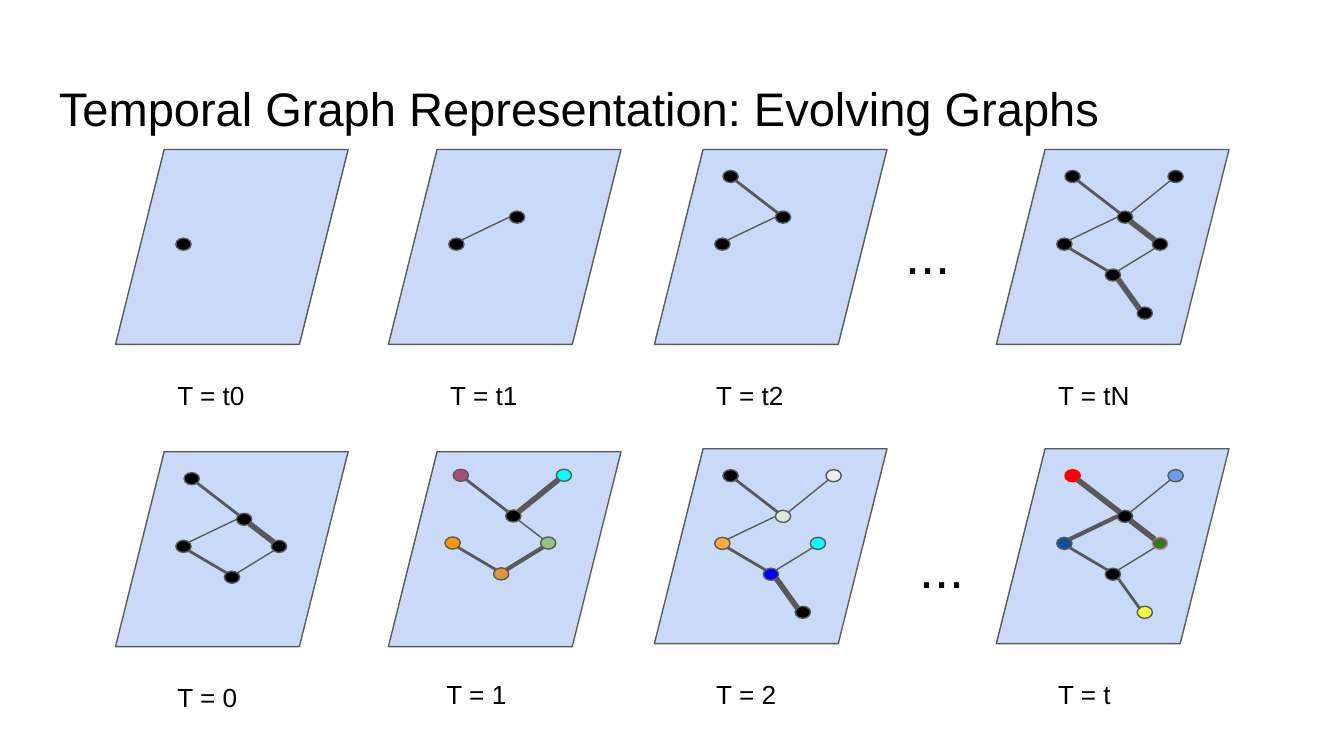
import math
from dataclasses import dataclass

import pptx
import pptx.dml.color
import pptx.enum.shapes
import pptx.oxml
import pptx.oxml.ns
import pptx.util

Pt = pptx.util.Pt
SHAPE = pptx.enum.shapes.MSO_SHAPE


@dataclass(frozen=True)
class Theme:
    font: str = "Arial"
    text: str = "000000"
    pane: str = "C9DAF8"
    line: str = "595959"
    node: str = "000000"
    title_size: float = 25.2
    dots_size: float = 29
    label_size: float = 14
    hairline: float = 0.75


# Layout in points; node positions are top-left corners within a pane
PANE_W, PANE_H = 124.6, 104.4
NODE_W, NODE_H = 8.2, 6.5
LABEL_X, LABEL_Y = 26, 115.8
COLUMNS = (61.9, 208.1, 350.6, 533.8)
NODES = {
    "A": (36.7, 11.2), "B": (91.9, 11.2), "C": (32.3, 47.5), "D": (64.8, 33),
    "E": (58.3, 64), "F": (83.5, 47.5), "G": (75.4, 84.4),
}


def rgb(value):
    return pptx.dml.color.RGBColor.from_string(value)


class Deck:
    def __init__(self, theme):
        self.theme = theme
        self.prs = pptx.Presentation()
        self.prs.slide_width, self.prs.slide_height = Pt(720), Pt(405)
        self.s = self.prs.slides.add_slide(self.prs.slide_layouts[6])

    def text(self, x, y, w, h, text, size):
        tf = self.s.shapes.add_textbox(Pt(x), Pt(y), Pt(w), Pt(h)).text_frame
        tf.word_wrap = True
        tf.margin_left = tf.margin_right = Pt(7.2)
        tf.margin_top = tf.margin_bottom = Pt(7.2)
        p = tf.paragraphs[0]
        p.text = text
        p.font.name = self.theme.font
        p.font.size = Pt(size)
        p.font.color.rgb = rgb(self.theme.text)

    def shape(self, kind, x, y, w, h, fill, line=None):
        sp = self.s.shapes.add_shape(kind, Pt(x), Pt(y), Pt(w), Pt(h))
        sp.shadow.inherit = False
        sp.fill.solid()
        sp.fill.fore_color.rgb = rgb(fill)
        sp.line.color.rgb = rgb(line or self.theme.line)
        sp.line.width = Pt(self.theme.hairline)
        return sp

    def edge(self, start, end, width):
        points = [Pt(v) for v in (*start, *end)]
        cx = self.s.shapes.add_connector(
            pptx.enum.shapes.MSO_CONNECTOR.STRAIGHT, *points)
        cx.line.color.rgb = rgb(self.theme.line)
        cx.line.width = Pt(width)
        pptx.oxml.ns.qn("a:effectLst")
        cx._element.spPr.append(
            pptx.oxml.parse_xml(
                f'<a:effectLst {pptx.oxml.ns.nsdecls("a")}/>'))

    def graph(self, x, y, label, nodes, edges, shift=(0, 0), outlines=None):
        """Draw a pane with its nodes, weighted edges and time label."""
        pane = self.shape(SHAPE.PARALLELOGRAM, x, y, PANE_W, PANE_H,
                          self.theme.pane)
        pane.adjustments[0] = 0.25
        x, y = x + shift[0], y + shift[1]

        for name, fill in nodes.items():
            nx, ny = NODES[name]
            self.shape(SHAPE.OVAL, x + nx, y + ny, NODE_W, NODE_H, fill,
                       (outlines or {}).get(name))
        for pair, width in edges.items():
            a, b = pair
            start, end = anchor(a, b), anchor(b, a)
            self.edge((x + start[0], y + start[1]),
                      (x + end[0], y + end[1]), width)
        self.text(x + LABEL_X, y + LABEL_Y, 65.5, 31.7, label,
                  self.theme.label_size)


def anchor(name, other):
    """Point on the rim of a node, on the diagonal that faces the other."""
    (x, y), (ox, oy) = NODES[name], NODES[other]
    cx, cy = x + NODE_W / 2, y + NODE_H / 2
    if (name, other) == ("D", "C"):  # this edge leaves from the left side
        return x, cy
    k = math.sqrt(0.5) / 2
    return (cx + math.copysign(k * NODE_W, ox - x),
            cy + math.copysign(k * NODE_H, oy - y))


def main():
    theme = Theme()
    deck = Deck(theme)

    def plain(names):
        return dict.fromkeys(names, theme.node)

    deck.text(24.5, 35.3, 671, 45.4,
              "Temporal Graph Representation: Evolving Graphs",
              theme.title_size)

    # Top row: the graph grows over time
    top = 80.1
    full = {"AD": 1.5, "DF": 3, "DB": 0.75, "DC": 0.75,
            "CE": 1.5, "FE": 0.75, "EG": 3}
    growth = [
        ("T = t0", "C", ""),
        ("T = t1", "CD", ["DC"]),
        ("T = t2", "ACD", ["AD", "DC"]),
        ("T = tN", "ABCDEFG", full),
    ]
    for x, (label, names, pairs) in zip(COLUMNS, growth):
        deck.graph(x, top, label, plain(names), {e: full[e] for e in pairs})
    deck.text(478.2, 110.9, 52.6, 49.7, "...", theme.dots_size)

    # Bottom row: node and edge attributes change too
    left_top, right_top = 242, 240.4
    deck.graph(COLUMNS[0], left_top, "T = 0", plain("ACDEF"),
               {e: full[e] for e in ("AD", "DF", "DC", "CE", "FE")})
    deck.graph(COLUMNS[1], left_top, "T = 1",
               {"A": "A64D79", "B": "00FFFF", "C": "FF9900",
                "D": theme.node, "E": "E69138", "F": "93C47D"},
               {"AD": 1.5, "DF": 0.75, "DB": 3, "CE": 1.5, "FE": 2.25},
               shift=(-2, -1.8))
    deck.graph(COLUMNS[2], right_top, "T = 2",
               {"A": theme.node, "B": "EEEEEE", "C": "FFAB40", "D": "D9EAD3",
                "E": "0000FF", "F": "00FFFF", "G": theme.node},
               {e: w for e, w in full.items() if e != "DF"})
    deck.graph(COLUMNS[3], right_top, "T = t",
               {"A": "FF0000", "B": "6D9EEB", "C": "0B5394", "D": theme.node,
                "E": theme.node, "F": "38761D", "G": "EEFF41"},
               {**full, "AD": 3, "DC": 2.25, "EG": 1.5},
               outlines={"A": "FF0000", "F": "C27BA0"})
    deck.text(485.4, 278.9, 52.6, 49.7, "...", theme.dots_size)

    deck.prs.save("out.pptx")


if __name__ == "__main__":
    main()
